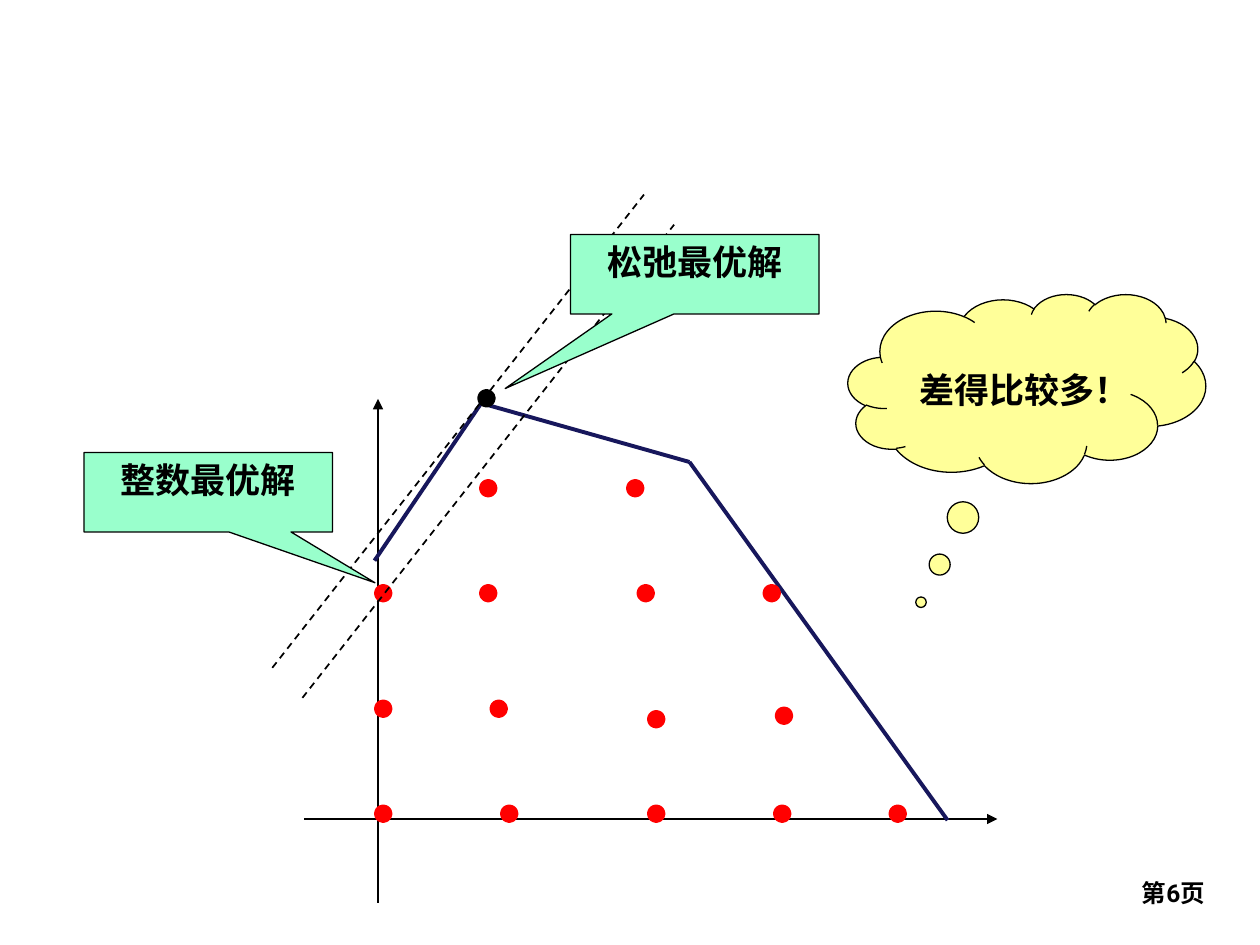
from itertools import pairwise

from pptx import Presentation
from pptx.dml.color import RGBColor
from pptx.enum.dml import MSO_LINE as DASH
from pptx.enum.shapes import MSO_CONNECTOR, MSO_SHAPE as SHAPE
from pptx.enum.text import MSO_ANCHOR as ANCHOR, PP_ALIGN as ALIGN
from pptx.oxml.ns import qn
from pptx.util import Pt
from lxml.etree import SubElement


def rgb(value):
    return RGBColor.from_string(value)


class Sketch:
    """Draws styled elements on one slide, with lengths in points."""

    font = "Roboto"
    black, red, navy = "000000", "FF0000", "17175C"
    mint, yellow = "99FFCC", "FFFF99"

    def __init__(self, slide):
        self.s = slide

    def set_text(self, sp, text, size, align, anchor):
        tf = sp.text_frame
        tf.word_wrap = True
        tf.vertical_anchor = anchor
        tf.text = text
        p = tf.paragraphs[0]
        p.alignment = align
        f = p.runs[0].font
        f.name, f.size, f.bold = self.font, Pt(size), True
        f.color.rgb = rgb(self.black)
        return tf

    def label(self, text, x, y, w, h):
        sp = self.s.shapes.add_textbox(Pt(x), Pt(y), Pt(w), Pt(h))
        self.set_text(sp, text, 14, ALIGN.RIGHT, ANCHOR.BOTTOM)

    def line(self, start, end, color, width, dash=None, arrow=False):
        c = self.s.shapes.add_connector(
            MSO_CONNECTOR.STRAIGHT, *map(Pt, (*start, *end)))
        c.line.color.rgb = rgb(color)
        c.line.width = Pt(width)
        if dash:
            c.line.dash_style = dash
        spPr = c._element.spPr
        if arrow:
            SubElement(spPr.find(qn("a:ln")), qn("a:tailEnd"), type="triangle")
        SubElement(spPr, qn("a:effectLst"))

    def shape(self, kind, x, y, w, h, fill, line, width):
        sp = self.s.shapes.add_shape(kind, Pt(x), Pt(y), Pt(w), Pt(h))
        sp.shadow.inherit = False
        sp.fill.solid()
        sp.fill.fore_color.rgb = rgb(fill)
        sp.line.color.rgb = rgb(line)
        sp.line.width = Pt(width)
        return sp

    def dot(self, x, y, color):
        self.shape(SHAPE.FLOWCHART_CONNECTOR, x, y, 6, 6, color, color, 4.5)

    def callout(self, kind, text, box, tip, fill, anchor):
        sp = self.shape(kind, *box, fill, self.black, 0.75)
        sp.adjustments[0], sp.adjustments[1] = tip
        return self.set_text(sp, text, 20, ALIGN.CENTER, anchor)


def main():
    prs = Presentation()
    prs.slide_width, prs.slide_height = Pt(720), Pt(540)
    k = Sketch(prs.slides.add_slide(prs.slide_layouts[6]))

    k.label("第6页", 545.8, 486, 149.8, 36)
    for start, end in [((174, 468), (570, 468)), ((216, 516), (216, 228))]:
        k.line(start, end, k.black, 0.75, arrow=True)

    boundary = [(214, 320.4), (275, 230.4), (394, 264), (541.5, 468.7)]
    for start, end in pairwise(boundary):
        k.line(start, end, k.navy, 2.25)

    integer_points = {
        276: [276, 360],
        336: [216, 276, 366, 438],
        402: [216, 282],
        406: [445],
        408: [372],
        462: [216, 288, 372, 444, 510],
    }
    for y, xs in integer_points.items():
        for x in xs:
            k.dot(x, y, k.red)

    for x, y in [(172.8, 398.8), (155.6, 381.6)]:
        k.line((x, y), (x + 212.4, y - 270.4), k.black, 1, dash=DASH.DASH)
    k.dot(275, 224.6, k.black)

    for text, x, y, tip in [
        ("松弛最优解", 326, 134, (-0.763, 1.439)),
        ("整数最优解", 48, 258.6, (0.671, 1.139)),
    ]:
        k.callout(SHAPE.RECTANGULAR_CALLOUT, text, (x, y, 142, 45.4), tip,
                  k.mint, ANCHOR.TOP)
    tf = k.callout(SHAPE.CLOUD_CALLOUT, "差得比较多！", (484.6, 168, 204.4, 108),
                   (-0.296, 1.131), k.yellow, ANCHOR.MIDDLE)
    tf.word_wrap = False
    tf.margin_left, tf.margin_right = Pt(12), 0
    tf.margin_top, tf.margin_bottom = Pt(6), 0

    prs.save("out.pptx")


if __name__ == "__main__":
    main()
